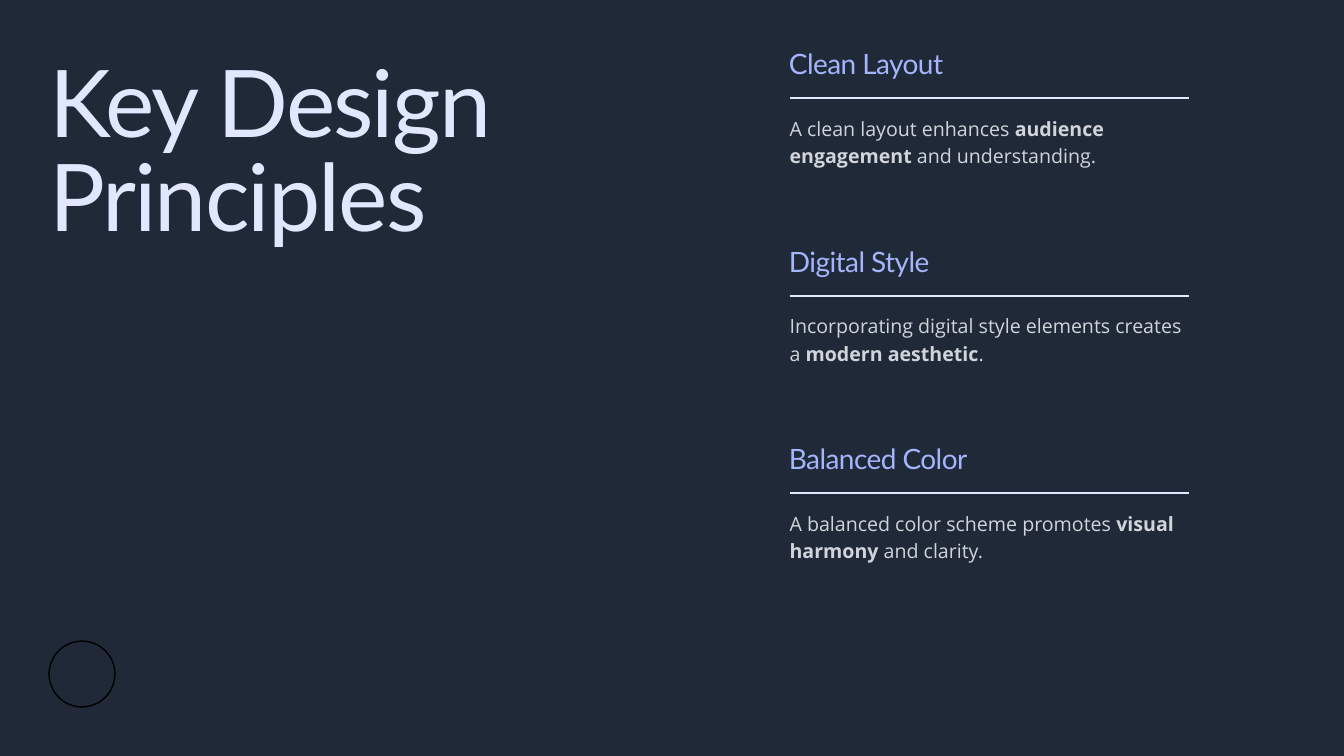
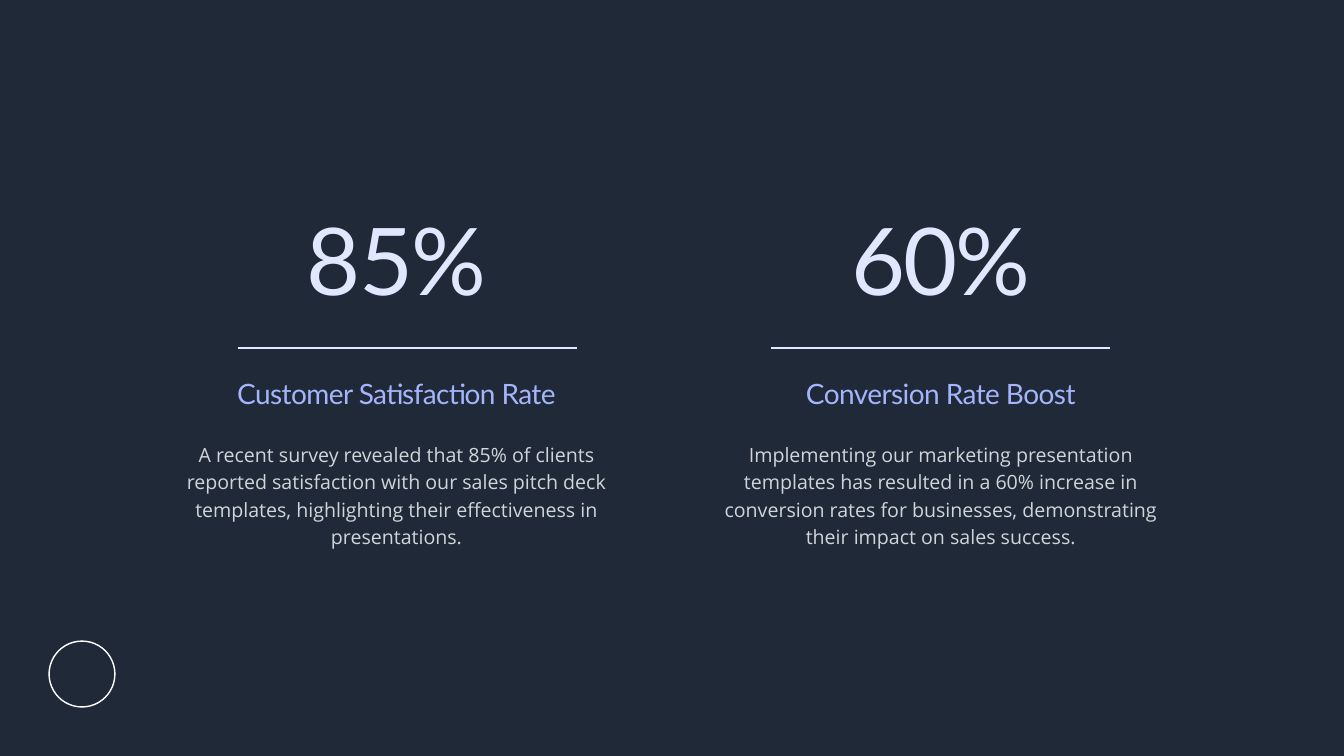
import pptx
import pptx.dml.color
import pptx.enum.shapes
import pptx.enum.text
import pptx.oxml.ns
import pptx.util
from lxml import etree

Inches = pptx.util.Inches
Pt = pptx.util.Pt

COLORS = {
    "background": "1F2937",
    "display": "E0E7FF",
    "heading": "A5B4FC",
    "body": "D1D5DB",
    "black": "000000",
    "white": "FFFFFF",
}

DISPLAY = dict(font="Lato", size=100, color="display", leading=100, tracking=-2)
HEADING = dict(font="Lato", size=30, color="heading", leading=30, tracking=-0.6)
BODY = dict(font="Open Sans", size=21, color="body", leading=29.4)

PRINCIPLES = [
    ("Clean Layout",
     "A clean layout enhances **audience engagement** and understanding."),
    ("Digital Style",
     "Incorporating digital style elements creates a **modern aesthetic**."),
    ("Balanced Color",
     "A balanced color scheme promotes **visual harmony** and clarity."),
]
PRINCIPLE_PITCH = 2.94

# Left edge of the column, left edge of its rule, figure, label, text
STATS = [
    (2.59, 3.54, "85%", "Customer Satisfaction Rate",
     "A recent survey revealed that 85% of clients reported satisfaction with "
     "our sales pitch deck templates, highlighting their effectiveness in "
     "presentations."),
    (10.69, 11.47, "60%", "Conversion Rate Boost",
     "Implementing our marketing presentation templates has resulted in a 60% "
     "increase in conversion rates for businesses, demonstrating their impact "
     "on sales success."),
]


def rgb(name):
    return pptx.dml.color.RGBColor.from_string(COLORS[name])


def add_text(shapes, text, box, *, font, size, color, leading, tracking=0,
             centered=False):
    """Add a text box; parts between ** marks are bold."""
    sp = shapes.add_textbox(*map(Inches, box))
    tf = sp.text_frame
    tf.margin_left = tf.margin_right = tf.margin_top = tf.margin_bottom = 0
    tf.word_wrap = True
    tf.auto_size = pptx.enum.text.MSO_AUTO_SIZE.SHAPE_TO_FIT_TEXT
    p = tf.paragraphs[0]
    p.line_spacing = Pt(leading)
    if centered:
        p.alignment = pptx.enum.text.PP_ALIGN.CENTER
    for i, part in enumerate(text.split("**")):
        r = p.add_run()
        r.text = part
        r.font.name = font
        r.font.size = Pt(size)
        r.font.bold = i % 2 == 1
        r.font.color.rgb = rgb(color)
        if tracking:
            r.font._element.set("spc", str(round(tracking * 100)))


def add_rule(shapes, left, top, width, weight):
    line = shapes.add_connector(
        pptx.enum.shapes.MSO_CONNECTOR.STRAIGHT,
        Inches(left), Inches(top), Inches(left + width), Inches(top))
    line.line.color.rgb = rgb("display")
    line.line.width = Pt(weight)
    etree.SubElement(line._element.spPr, pptx.oxml.ns.qn("a:effectLst"))


def add_corner_circle(s, color):
    sp = s.shapes.add_shape(pptx.enum.shapes.MSO_SHAPE.OVAL, Inches(0.73),
                            Inches(9.54), Inches(0.98), Inches(0.98))
    sp.shadow.inherit = False
    sp.fill.background()
    sp.line.color.rgb = rgb(color)
    sp.line.width = Pt(1.5)


def add_slide(prs):
    s = prs.slides.add_slide(prs.slide_layouts[6])
    s.background.fill.solid()
    s.background.fill.fore_color.rgb = rgb("background")
    return s


def add_principle(s, left, top, width, heading, text):
    shapes = s.shapes.add_group_shape().shapes
    add_text(shapes, heading, (left - 0.01, top, width, 0.43), **HEADING)
    add_text(shapes, text, (left, top + 0.9, width, 0.79), **BODY)
    add_rule(shapes, left, top + 0.68, width, 2)


def add_stat(s, left, top, width, rule_left, figure, label, text):
    add_text(s.shapes, figure, (left, top, width, 1.45), centered=True, **DISPLAY)
    add_rule(s.shapes, rule_left, top + 1.89, 5.05, 1.5)
    shapes = s.shapes.add_group_shape().shapes
    add_text(shapes, label, (left, top + 2.39, width, 0.43), centered=True,
             **HEADING)
    add_text(shapes, text, (left, top + 3.24, width, 1.61), centered=True, **BODY)


def add_principles_slide(prs):
    s = add_slide(prs)
    add_text(s.shapes, "Key Design Principles", (0.73, 0.94, 9.1, 2.84), **DISPLAY)
    for i, (heading, text) in enumerate(PRINCIPLES):
        add_principle(s, 11.75, 0.78 + i * PRINCIPLE_PITCH, 5.95, heading, text)
    add_corner_circle(s, "black")


def add_stats_slide(prs):
    s = add_slide(prs)
    for left, *content in STATS:
        add_stat(s, left, 3.29, 6.62, *content)
    add_corner_circle(s, "white")


def main():
    prs = pptx.Presentation()
    prs.slide_width = Inches(20)
    prs.slide_height = Inches(11.25)
    add_principles_slide(prs)
    add_stats_slide(prs)
    prs.save("out.pptx")


if __name__ == "__main__":
    main()
